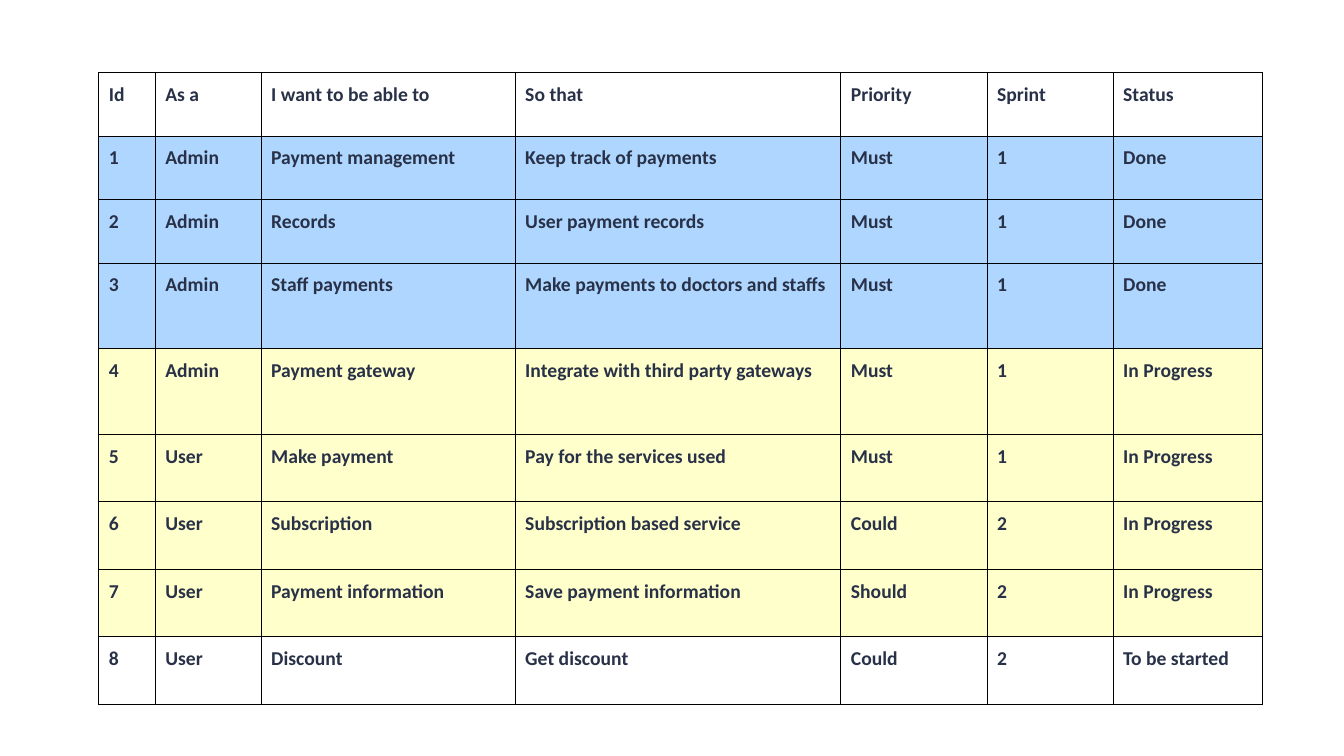
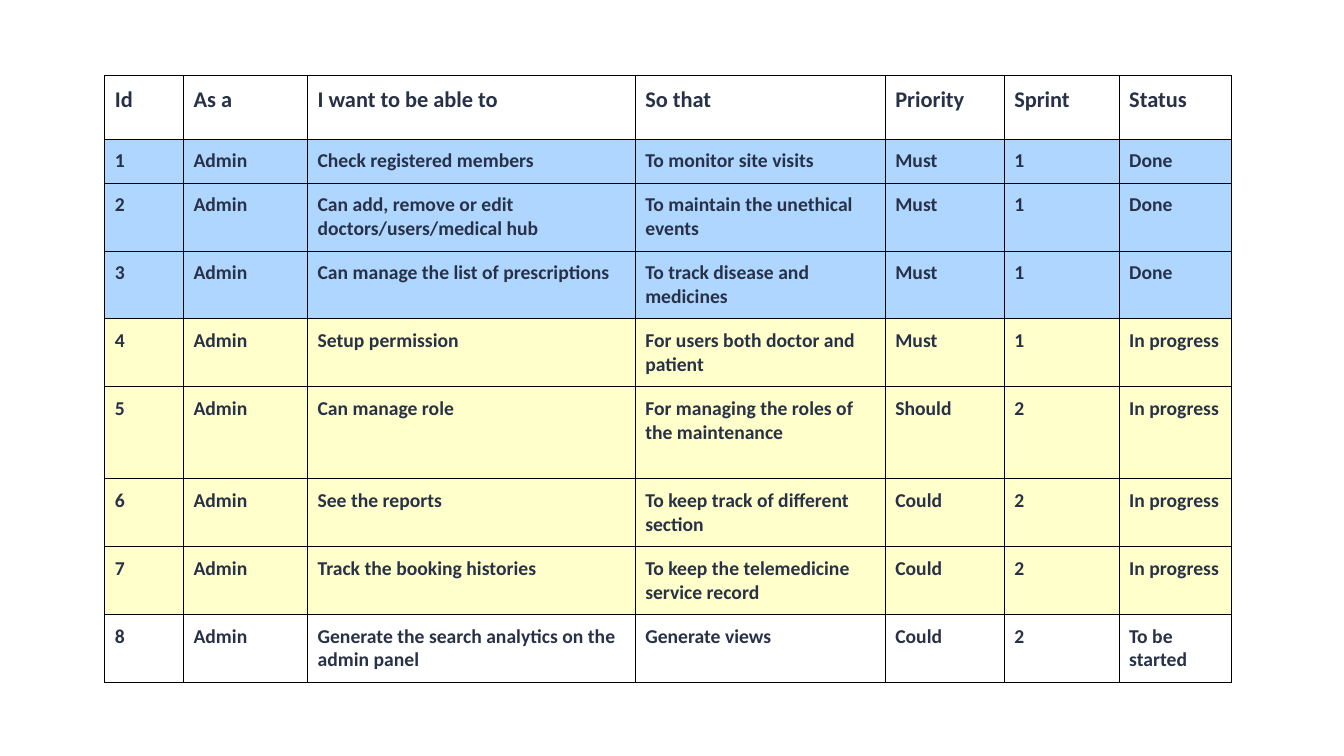
from pptx import Presentation
from pptx import util as u
from pptx.dml.color import RGBColor
from pptx.oxml import parse_xml
from pptx.oxml.ns import nsdecls

INK = RGBColor(0x28, 0x31, 0x47)
DONE = RGBColor(0xAE, 0xD6, 0xFF)
IN_PROGRESS = RGBColor(0xFF, 0xFF, 0xCC)
STATUS_FILLS = {"done": DONE, "in progress": IN_PROGRESS}
HEADER = ("Id", "As a", "I want to be able to", "So that", "Priority", "Sprint", "Status")

PAYMENT_STORIES = [
    ("Admin", "Payment management", "Keep track of payments", "Must", "1", "Done"),
    ("Admin", "Records", "User payment records", "Must", "1", "Done"),
    ("Admin", "Staff payments", "Make payments to doctors and staffs", "Must", "1", "Done"),
    ("Admin", "Payment gateway", "Integrate with third party gateways", "Must", "1", "In Progress"),
    ("User", "Make payment", "Pay for the services used", "Must", "1", "In Progress"),
    ("User", "Subscription", "Subscription based service", "Could", "2", "In Progress"),
    ("User", "Payment information", "Save payment information", "Should", "2", "In Progress"),
    ("User", "Discount", "Get discount", "Could", "2", "To be started"),
]
ADMIN_STORIES = [
    ("Admin", "Check registered members", "To monitor site visits", "Must", "1", "Done"),
    ("Admin", "Can add, remove or edit doctors/users/medical hub",
     "To maintain the unethical events", "Must", "1", "Done"),
    ("Admin", "Can manage the list of prescriptions",
     "To track disease and medicines", "Must", "1", "Done"),
    ("Admin", "Setup permission", "For users both doctor and patient", "Must", "1", "In progress"),
    ("Admin", "Can manage role", "For managing the roles of the maintenance",
     "Should", "2", "In progress"),
    ("Admin", "See the reports", "To keep track of different section",
     "Could", "2", "In progress"),
    ("Admin", "Track the booking histories", "To keep the telemedicine service record",
     "Could", "2", "In progress"),
    ("Admin", "Generate the search analytics on the admin panel", "Generate views",
     "Could", "2", "To be started"),
]


class Deck:
    """Holds the backlog style and the current slide."""

    FONT = {"name": "Calibri", "bold": True}
    MARGINS = dict.fromkeys(
        ("margin_left", "margin_top", "margin_right", "margin_bottom"), u.Inches(0.1))
    BORDER = u.Pt(0.75)

    def __init__(self):
        self.prs = Presentation()
        self.prs.slide_width = u.Inches(13.33)
        self.prs.slide_height = u.Inches(7.5)
        self.s = None

    def slide(self):
        self.s = self.prs.slides.add_slide(self.prs.slide_layouts[6])

    def cell(self, cell, label, size, fill):
        for name, value in self.MARGINS.items():
            setattr(cell, name, value)
        r = cell.text_frame.paragraphs[0].add_run()
        r.text = label
        for name, value in {**self.FONT, "size": u.Pt(size)}.items():
            setattr(r.font, name, value)
        r.font.color.rgb = INK
        tcPr = cell._tc.get_or_add_tcPr()
        for side in "LRTB":
            tcPr.append(parse_xml(
                f'<a:ln{side} {nsdecls("a")} w="{self.BORDER}"><a:solidFill>'
                f'<a:srgbClr val="000000"/></a:solidFill></a:ln{side}>'))
        if fill is None:
            cell.fill.background()
        else:
            cell.fill.solid()
            cell.fill.fore_color.rgb = fill

    def backlog(self, left, top, widths, heights, stories, header_size=14):
        rows = [HEADER] + [(str(i), *story) for i, story in enumerate(stories, 1)]
        table = self.s.shapes.add_table(
            len(rows), len(HEADER), u.Inches(left), u.Inches(top),
            u.Inches(sum(widths)), u.Inches(sum(heights))).table
        table.first_row = table.horz_banding = False
        for column, width in zip(table.columns, widths):
            column.width = u.Inches(width)
        for row, height in zip(table.rows, heights):
            row.height = u.Inches(height)
        for i, labels in enumerate(rows):
            fill = STATUS_FILLS.get(labels[-1].lower())
            for j, label in enumerate(labels):
                self.cell(table.cell(i, j), label, 14 if i else header_size, fill)


def main():
    deck = Deck()
    deck.slide()
    deck.backlog(0.98, 0.72, [0.56, 1.05, 2.52, 3.23, 1.45, 1.25, 1.48],
                 [0.63] * 3 + [0.85] * 2 + [0.67] * 4, PAYMENT_STORIES)
    deck.slide()
    deck.backlog(1.04, 0.75, [0.78, 1.23, 3.25, 2.48, 1.18, 1.14, 1.11],
                 [0.63, 0.43] + [0.67] * 3 + [0.91] + [0.67] * 3,
                 ADMIN_STORIES, header_size=16)
    deck.prs.save("out.pptx")


if __name__ == "__main__":
    main()
